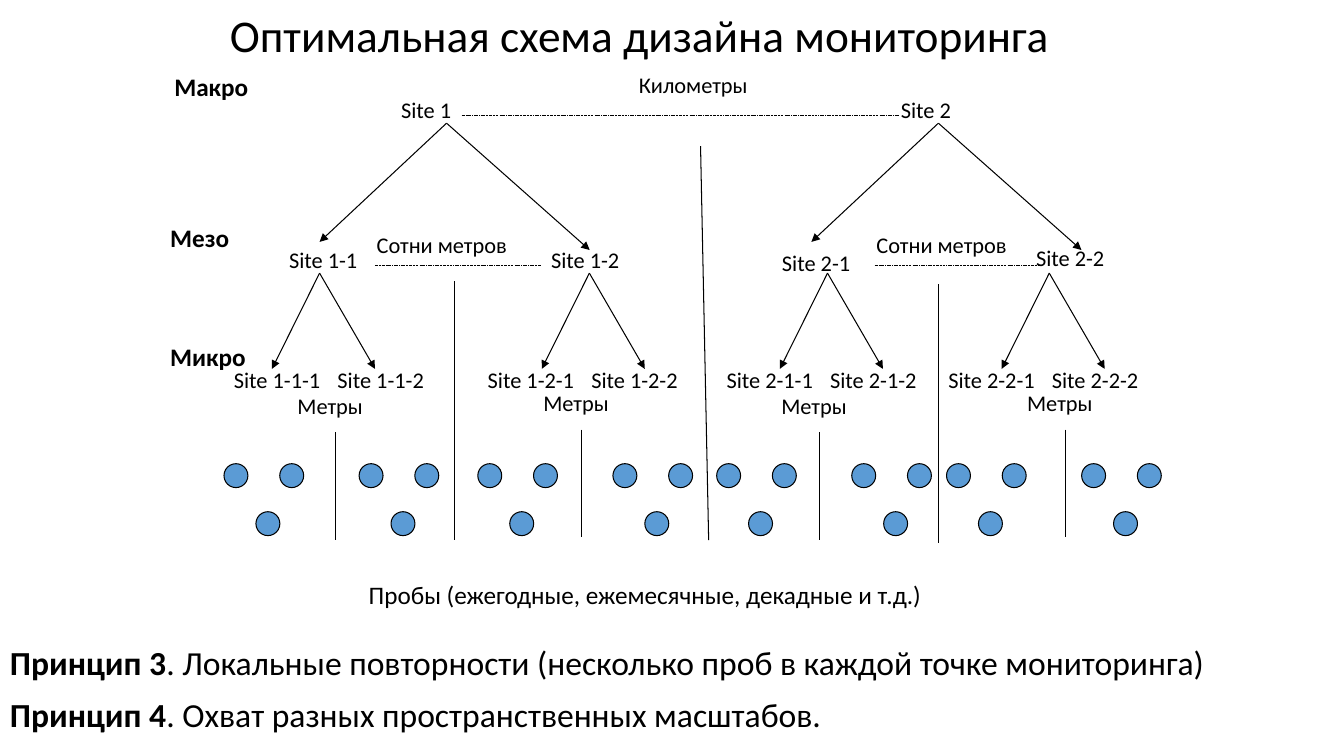
import pptx
import pptx.util
import pptx.dml.color
import pptx.enum.dml
import pptx.enum.shapes
import pptx.enum.text
import pptx.oxml.ns
from lxml import etree

Pt = pptx.util.Pt
BLACK = "000000"
BLUE = "5B9BD5"
TEXT_FRAME = {
    "word_wrap": True,
    "auto_size": pptx.enum.text.MSO_AUTO_SIZE.SHAPE_TO_FIT_TEXT,
}
LABEL = {"size": Pt(16), "bold": False}
CAPTION = {"size": Pt(18), "bold": False}
LEVEL = {"size": Pt(18), "bold": True}

SITES = [
    {"name": "Site 1", "apex": 319},
    {"name": "Site 2", "apex": 670.3},
]
SITE_STEP = 357
BRANCHES = [
    {"name": "Site 1-1", "left": 199.4, "top": 172, "apex": 228.3,
     "points": 160, "samples": 160, "divider": 239.8, "rise": 0},
    {"name": "Site 1-2", "left": 386.6, "top": 172, "apex": 421,
     "points": 341.3, "samples": 341.3, "divider": 415.4, "rise": 2},
    {"name": "Site 2-1", "left": 551.5, "top": 174.2, "apex": 591.1,
     "points": 511.9, "samples": 511.9, "divider": 585.4, "rise": 0},
    {"name": "Site 2-2", "left": 733, "top": 170.6, "apex": 749.5,
     "points": 670.3, "samples": 676.1, "divider": 761, "rise": 2},
]
PRINCIPLES = [
    ("Принцип 3", ". Локальные повторности (несколько проб в каждой точке мониторинга)"),
    ("Принцип 4", ". Охват разных пространственных масштабов."),
]


def color(value):
    return pptx.dml.color.RGBColor.from_string(value)


def apply_format(target, values):
    for name, value in values.items():
        setattr(target, name, value)


def format_font(font, values):
    apply_format(font, {"name": "Calibri", **values})
    font.color.rgb = color(BLACK)


def add_text_box(shapes, left, top, width, height):
    shape = shapes.add_textbox(Pt(left), Pt(top), Pt(width), Pt(height))
    apply_format(shape.text_frame, TEXT_FRAME)
    return shape.text_frame


def add_label(shapes, text, left, top, width, values=LABEL):
    height = 26.7 if values is LABEL else 29
    paragraph = add_text_box(shapes, left, top, width, height).paragraphs[0]
    paragraph.text = text
    format_font(paragraph.font, values)


def add_line(shapes, start, end, width=0.75, dashed=False, arrow=False):
    connector = shapes.add_connector(
        pptx.enum.shapes.MSO_CONNECTOR.STRAIGHT,
        *(Pt(value) for value in (*start, *end)))
    connector.line.color.rgb = color(BLACK)
    connector.line.width = Pt(width)
    if dashed:
        connector.line.dash_style = pptx.enum.dml.MSO_LINE.DASH_DOT_DOT
    qualified = pptx.oxml.ns.qn
    properties = connector._element.spPr
    if arrow:
        outline = properties.find(qualified("a:ln"))
        etree.SubElement(outline, qualified("a:tailEnd"), type="triangle")
    etree.SubElement(properties, qualified("a:effectLst"))


def add_sample(shapes, left, top):
    shape = shapes.add_shape(
        pptx.enum.shapes.MSO_SHAPE.OVAL, Pt(left), Pt(top), Pt(17.1), Pt(17.1))
    shape.shadow.inherit = False
    shape.fill.solid()
    shape.fill.fore_color.rgb = color(BLUE)
    shape.line.color.rgb = color(BLACK)
    shape.line.width = Pt(0.75)


def add_site(shapes, index, site):
    shift = index * SITE_STEP
    apex = site["apex"]
    add_label(shapes, site["name"], 279.4 + shift, 64.8, 85)
    add_line(shapes, (apex, 88), (apex - 90.7, 172.8), arrow=True)
    add_line(shapes, (apex, 88), (apex + 102.2, 178.6), arrow=True)
    add_line(shapes, (267.8 + shift, 189.4), (386.6 + shift, 189.4), 0.25, dashed=True)
    add_label(shapes, "Сотни метров", 262 + shift, 161.3, 136)


def add_branch(shapes, branch):
    apex, divider, rise = branch["apex"], branch["divider"], branch["rise"]
    add_label(shapes, branch["name"], branch["left"], branch["top"], 102)
    for index, reach in enumerate((-34, 39.6)):
        add_line(shapes, (apex, 195.1), (apex + reach, 263.5), arrow=True)
        add_label(shapes, f"{branch['name']}-{index + 1}",
                  branch["points"] + 74 * index, 257.8, 102)
        samples = branch["samples"] + 96.5 * index
        for offset, top in ((0, 331.2), (39.8, 331.2), (22.8, 365.5)):
            add_sample(shapes, samples + offset, top)
    add_label(shapes, "Метры", divider - 34.4, 276.5 - rise, 73.4)
    add_line(shapes, (divider, 308.9 - rise), (divider, 385.9 - rise))


def add_title(slide):
    title = slide.shapes.title
    apply_format(title, {"left": Pt(157), "top": Pt(5.8),
                         "width": Pt(647.3), "height": Pt(41.8)})
    apply_format(title.text_frame, {
        "word_wrap": True,
        "auto_size": pptx.enum.text.MSO_AUTO_SIZE.NONE,
        "vertical_anchor": pptx.enum.text.MSO_ANCHOR.MIDDLE,
    })
    paragraph = title.text_frame.paragraphs[0]
    paragraph.text = "Оптимальная схема дизайна мониторинга"
    apply_format(paragraph, {"alignment": pptx.enum.text.PP_ALIGN.LEFT,
                             "line_spacing": 0.9})
    format_font(paragraph.font, {"size": Pt(32.4)})


def add_principles(slide):
    frame = add_text_box(slide.shapes, 0, 455, 960, 74.9)
    for index, texts in enumerate(PRINCIPLES):
        paragraph = frame.add_paragraph() if index else frame.paragraphs[0]
        paragraph.space_before = Pt(8 * index)
        for text, bold in zip(texts, (True, False)):
            run = paragraph.add_run()
            run.text = text
            format_font(run.font, {"size": Pt(24), "bold": bold})


def main():
    presentation = pptx.Presentation()
    presentation.slide_width = Pt(960)
    presentation.slide_height = Pt(540)
    slide = presentation.slides.add_slide(presentation.slide_layouts[5])
    add_title(slide)
    diagram = slide.shapes.add_group_shape().shapes
    for index, site in enumerate(SITES):
        add_site(diagram, index, site)
    for branch in BRANCHES:
        add_branch(diagram, branch)
    add_label(diagram, "Километры", 449.3, 47.5, 136)
    add_line(diagram, (329.8, 82), (642.2, 82), 0.25, dashed=True)
    add_line(diagram, (324.7, 200.9), (324.7, 385.9))
    add_line(diagram, (500.4, 104.4), (506.2, 385.9))
    add_line(diagram, (670.3, 203), (670.3, 388))
    for text, left, top in (("Макро", 117.4, 47.5), ("Мезо", 114.5, 155.5),
                            ("Микро", 114.5, 240.5)):
        add_label(diagram, text, left, top, 105, LEVEL)
    add_label(diagram, "Пробы (ежегодные, ежемесячные, декадные и т.д.)",
              256.3, 410.4, 481.7, CAPTION)
    add_principles(slide)
    presentation.save("out.pptx")


if __name__ == "__main__":
    main()
